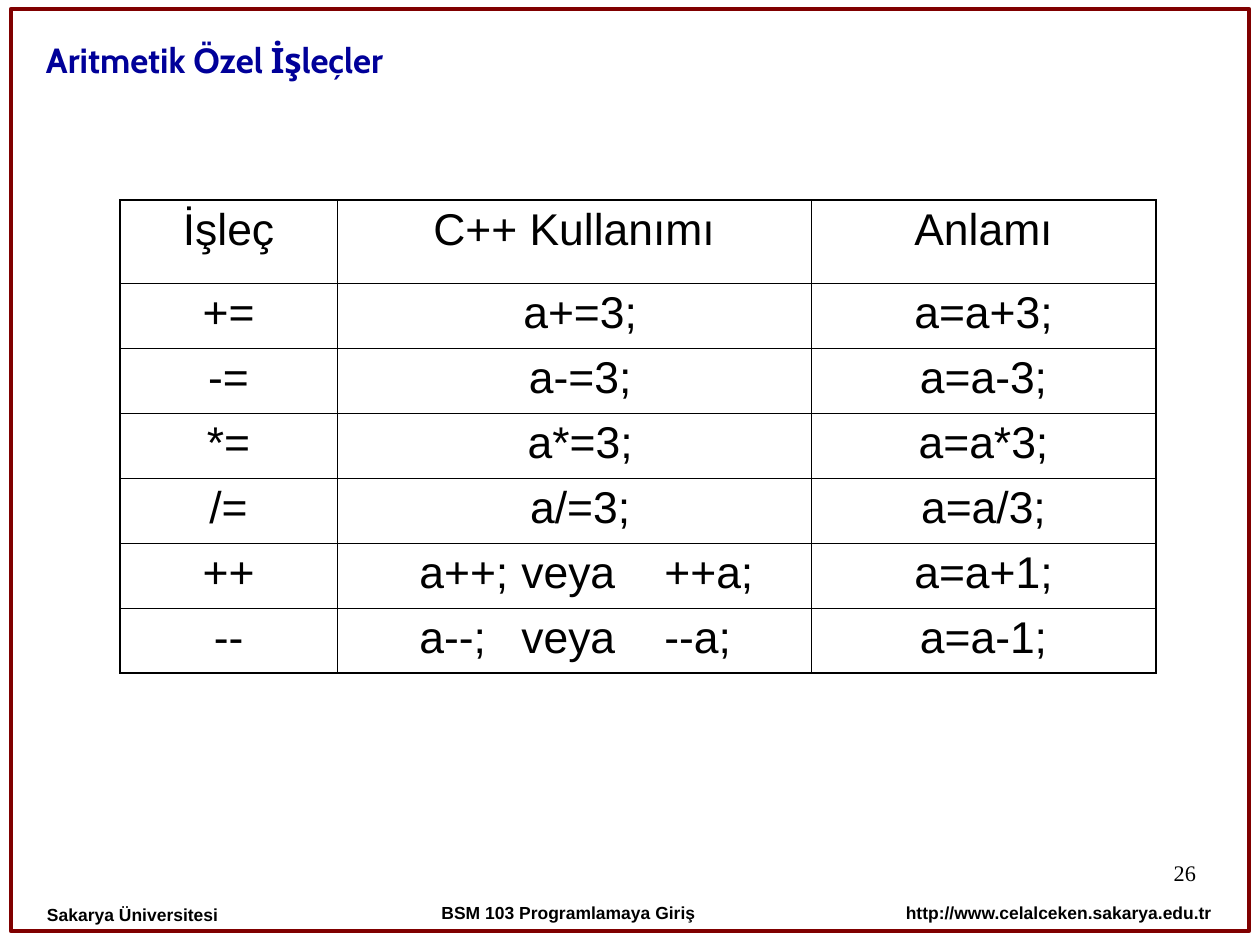
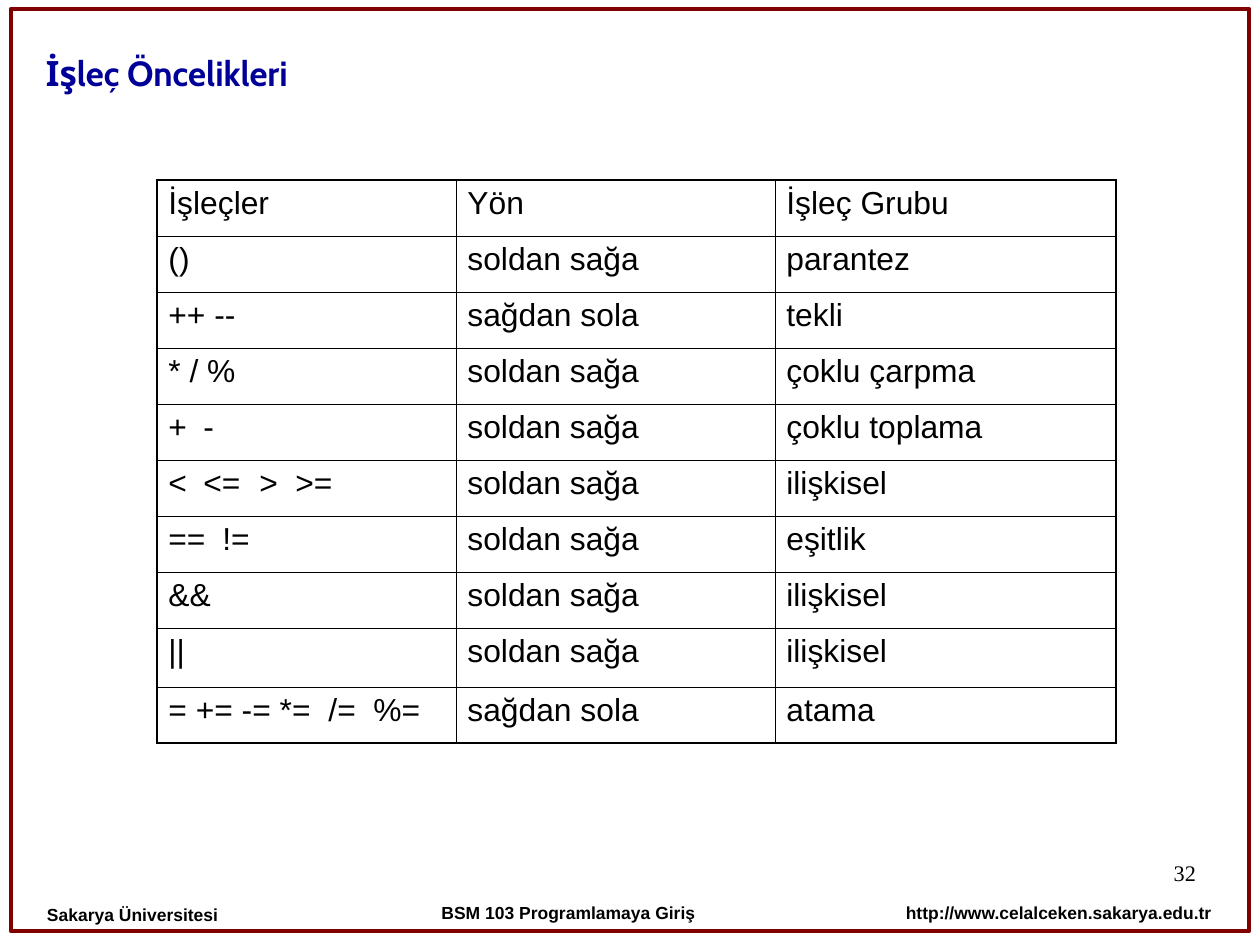
from dataclasses import dataclass

from pptx import Presentation, util as u
from pptx.dml.color import RGBColor
from pptx.enum import shapes, text
from pptx.oxml.ns import qn
from lxml import etree

SCALE = 8000  # EMU in one px
ALIGN = text.PP_ALIGN
ANCHOR = text.MSO_ANCHOR


@dataclass(frozen=True)
class Theme:
    ink: str = "000000"
    title: str = "000099"
    frame: str = "800000"
    title_font: str = "Cabin"
    body_font: str = "Arial"
    number_font: str = "Times New Roman"
    title_size: int = 22
    footer_size: int = 11
    number_size: int = 14
    frame_line: float = 2.83
    outer_line: float = 1.08
    inner_line: float = 0.45


THEME = Theme()
SLIDE_SIZE = (1260, 945)
FRAME_BOX = (11, 9, 1238, 922)
NUMBER_BOX = (903, 861, 293, 65)
FOOTERS = [
    ("Sakarya Üniversitesi", (22, 886, 270, 62), ALIGN.LEFT, 0.93),
    ("BSM 103 Programlamaya Giriş", (355, 886, 427, 58), ALIGN.CENTER, 0.83),
    ("http://www.celalceken.sakarya.edu.tr", (810, 886, 427, 58), ALIGN.RIGHT, 0.83),
]

OPERATORS = [
    ("İşleç", "C++ Kullanımı", "Anlamı"),
    ("+=", " a+=3;", "a=a+3;"),
    ("-=", " a-=3;", "a=a-3;"),
    ("*=", " a*=3;", "a=a*3;"),
    ("/=", " a/=3;", "a=a/3;"),
    ("++", "\ta++;\tveya\t++a;", "a=a+1;"),
    ("--", "\ta--;\tveya\t--a;", "a=a-1;"),
]

LEFTWARD, RIGHTWARD = "sağdan sola", "soldan sağa"
PRECEDENCE = [
    ("İşleçler", "Yön", "İşleç Grubu"),
    ("()", RIGHTWARD, "parantez"),
    ("++ --", LEFTWARD, "tekli"),
    ("* / %", RIGHTWARD, "çoklu çarpma"),
    ("+\t-", RIGHTWARD, "çoklu toplama"),
    ("<\t<=\t>\t>=", RIGHTWARD, "ilişkisel"),
    ("==\t!=", RIGHTWARD, "eşitlik"),
    ("&&", RIGHTWARD, "ilişkisel"),
    ("||", RIGHTWARD, "ilişkisel"),
    ("= += -= *=\t/=\t%=", LEFTWARD, "atama"),
]


def px(*lengths):
    return [u.Emu(length * SCALE) for length in lengths]


def write(frame, content, font, size, color, align, bold=False, spacing=None):
    """Fill a text frame with one formatted paragraph."""
    frame.text = content
    paragraph = frame.paragraphs[0]
    paragraph.alignment = align
    if spacing:
        paragraph.line_spacing = spacing
    for run in paragraph.runs:
        run.font.name = font
        run.font.size = u.Pt(size)
        run.font.bold = bold
        run.font.color.rgb = RGBColor.from_string(color)
    return paragraph


def set_frame(frame, inset_x, inset_top, inset_bottom, anchor=ANCHOR.TOP):
    frame.word_wrap = True
    frame.auto_size = text.MSO_AUTO_SIZE.NONE
    frame.vertical_anchor = anchor
    frame.margin_left, frame.margin_right = px(inset_x, inset_x)
    frame.margin_top, frame.margin_bottom = px(inset_top, inset_bottom)


def set_tabs(paragraph, stops):
    tab_list = etree.SubElement(paragraph._p.get_or_add_pPr(), qn("a:tabLst"))
    for stop in stops:
        etree.SubElement(tab_list, qn("a:tab"), pos=str(stop * SCALE), algn="l")


def set_borders(cell, outer_sides):
    """Draw four borders, heavier on the sides that edge the table."""
    properties = cell._tc.get_or_add_tcPr()
    for index, side in enumerate("LRTB"):
        width = THEME.outer_line if side in outer_sides else THEME.inner_line
        line = etree.Element(qn(f"a:ln{side}"), w=str(int(u.Pt(width))))
        fill = etree.SubElement(line, qn("a:solidFill"))
        etree.SubElement(fill, qn("a:srgbClr"), val=THEME.ink)
        properties.insert(index, line)


def add_label(slide, content, box, insets, **style):
    label = slide.shapes.add_textbox(*px(*box))
    set_frame(label.text_frame, *insets)
    write(label.text_frame, content, color=THEME.ink, **style)


def add_page(presentation, title, title_box, number, anchor, spacing):
    """Make a slide with its frame, title, number and footers."""
    slide = presentation.slides.add_slide(presentation.slide_layouts[5])

    # Frame
    frame = slide.shapes.add_shape(
        shapes.MSO_SHAPE.ROUNDED_RECTANGLE, *px(*FRAME_BOX))
    frame.adjustments[0] = 0
    frame.shadow.inherit = False
    frame.fill.background()
    frame.line.color.rgb = RGBColor.from_string(THEME.frame)
    frame.line.width = u.Pt(THEME.frame_line)

    # Title
    heading = slide.shapes.title
    heading.left, heading.top, heading.width, heading.height = px(*title_box)
    set_frame(heading.text_frame, 11, 6, 6, anchor)
    write(heading.text_frame, title, THEME.title_font, THEME.title_size,
          THEME.title, ALIGN.JUSTIFY, bold=True, spacing=spacing)

    # Slide number and footers
    add_label(slide, number, NUMBER_BOX, (0, 0, 0), font=THEME.number_font,
              size=THEME.number_size, align=ALIGN.RIGHT, spacing=0.95)
    for content, box, align, line_spacing in FOOTERS:
        add_label(slide, content, box, (25, 20, 19), font=THEME.body_font,
                  size=THEME.footer_size, align=align, bold=True,
                  spacing=line_spacing)
    return slide


def add_grid(slide, origin, rows, widths, heights, size, align, stops):
    """Add a ruled table; cells with tabs are set left on the given stops."""
    box = (*origin, sum(widths), sum(heights))
    table = slide.shapes.add_table(len(rows), len(widths), *px(*box)).table
    table.first_row = table.horz_banding = False
    for column, width in zip(table.columns, px(*widths)):
        column.width = width
    for row, height in zip(table.rows, px(*heights)):
        row.height = height

    last_row, last_column = len(rows) - 1, len(widths) - 1
    for r, row in enumerate(rows):
        for c, content in enumerate(row):
            cell = table.cell(r, c)
            cell.fill.background()
            tabbed = "\t" in content
            paragraph = write(cell.text_frame, content, THEME.body_font, size,
                              THEME.ink, ALIGN.LEFT if tabbed else align)
            if tabbed:
                set_tabs(paragraph, stops)
            edges = {"L": c == 0, "R": c == last_column,
                     "T": r == 0, "B": r == last_row}
            set_borders(cell, [side for side, outer in edges.items() if outer])


def main():
    presentation = Presentation()
    presentation.slide_width, presentation.slide_height = px(*SLIDE_SIZE)

    # Arithmetic assignment operators
    slide = add_page(presentation, "Aritmetik Özel İşleçler",
                     (35, 31, 1000, 75), "26", ANCHOR.TOP, 1.04)
    add_grid(slide, (120, 200), OPERATORS, (217, 474, 345), [83] + [65] * 6,
             28, ALIGN.CENTER, (71, 173, 316))

    # Operator precedence
    slide = add_page(presentation, "İşleç Öncelikleri",
                     (35, 31, 914, 69), "32", ANCHOR.BOTTOM, 1.0)
    add_grid(slide, (157, 180), PRECEDENCE, (299, 319, 341),
             [56] * 8 + [59, 56], 20, ALIGN.LEFT, (35, 54, 91, 127, 160, 205))

    presentation.save("out.pptx")


if __name__ == "__main__":
    main()
